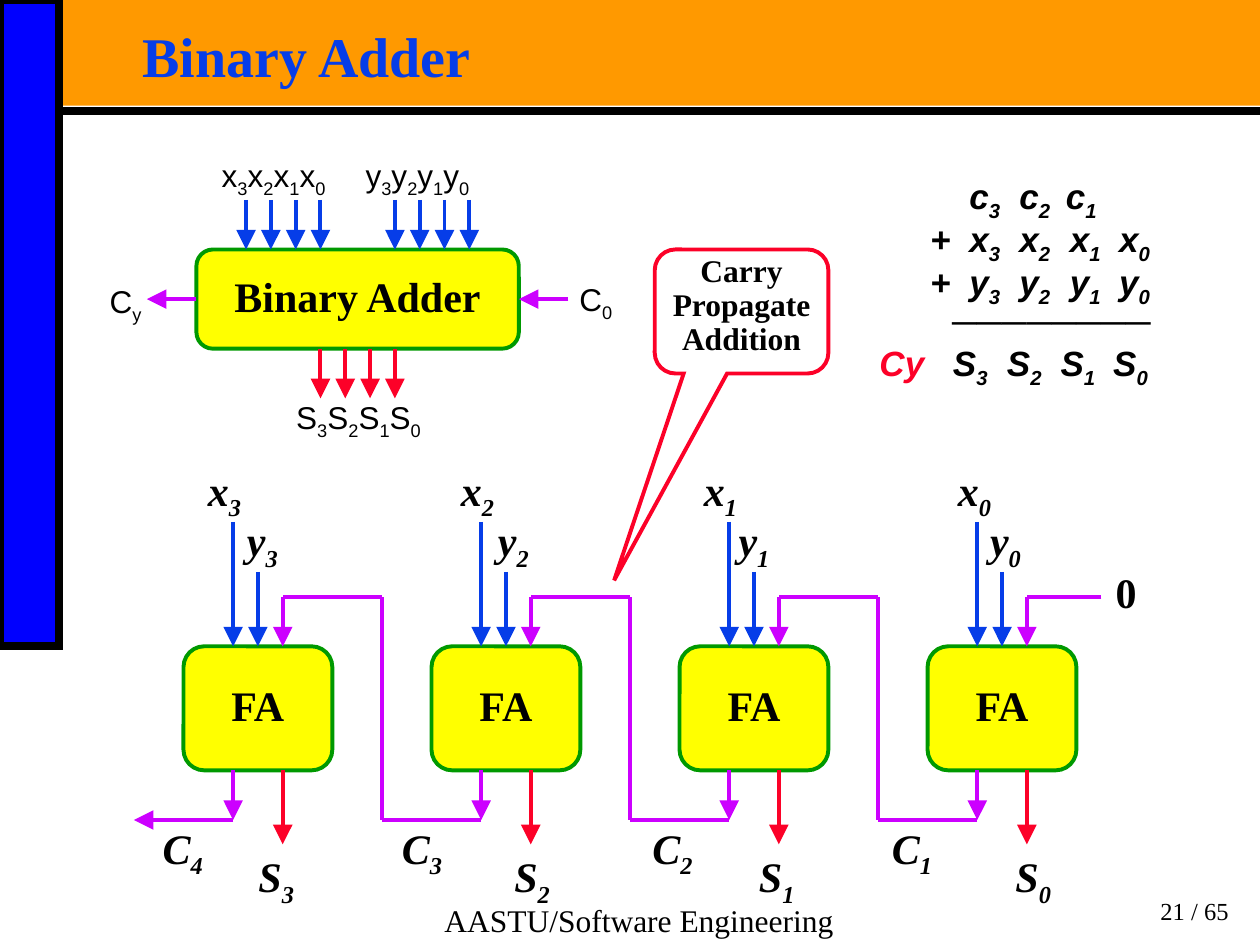
import pptx
import pptx.dml.color
import pptx.enum.shapes
import pptx.enum.text
import pptx.oxml.ns
import pptx.util
from lxml import etree

Cm = pptx.util.Cm
Pt = pptx.util.Pt
Shape = pptx.enum.shapes.MSO_SHAPE
Align = pptx.enum.text.PP_ALIGN
Anchor = pptx.enum.text.MSO_ANCHOR
qn = pptx.oxml.ns.qn

SERIF, SANS = "Times New Roman", "Arial"
BLACK, BLUE, RED, PURPLE = "000000", "063DE8", "FC0128", "CC00FF"
YELLOW, GREEN = "FFFF00", "009900"


def color(value):
    return pptx.dml.color.RGBColor.from_string(value)


def add_span(para, text, size, font, ink, bold, italic, subscript=False):
    span = para.add_run()
    span.text = text
    span.font.size, span.font.name = Pt(size), font
    span.font.bold, span.font.italic = bold, italic
    span.font.color.rgb = color(ink)
    if subscript:
        span.font._element.set("baseline", "-25000")


def write(para, text, size=24, font=SERIF, ink=BLACK, bold=False, italic=False,
          align=Align.LEFT, spacing=0.9, stops=(), lead="", lead_ink=RED):
    if stops:
        tabs = etree.SubElement(para._p.get_or_add_pPr(), qn("a:tabLst"))
        for stop in stops:
            etree.SubElement(tabs, qn("a:tab"), pos=str(Cm(stop)), algn="l")
    para.alignment, para.line_spacing, para.space_before = align, spacing, Pt(0)
    if lead:
        add_span(para, lead, size, font, lead_ink, bold, italic)
    first, *others = text.split("_")
    if first:
        add_span(para, first, size, font, ink, bold, italic)
    for piece in others:
        add_span(para, piece[0], size, font, ink, bold, italic, True)
        if piece[1:]:
            add_span(para, piece[1:], size, font, ink, bold, italic)


class Board:
    line_width = 2.25

    def __init__(self, slide):
        self.slide = slide
        self.shapes = slide.shapes

    def start_group(self):
        self.shapes = self.slide.shapes.add_group_shape().shapes

    def end_group(self):
        self.shapes = self.slide.shapes

    def frame(self, shape, anchor=Anchor.TOP, insets=(0, 0)):
        frame = shape.text_frame
        frame.word_wrap = True
        frame.auto_size = pptx.enum.text.MSO_AUTO_SIZE.NONE
        frame.vertical_anchor = anchor
        frame.margin_left = frame.margin_right = Cm(insets[0])
        frame.margin_top = frame.margin_bottom = Cm(insets[1])
        return frame

    def title(self, text, left, top, width, height):
        title = self.slide.shapes.title
        self.slide.shapes._spTree.append(title._element)
        title.left, title.top = Cm(left), Cm(top)
        title.width, title.height = Cm(width), Cm(height)
        frame = self.frame(title, insets=(0.18, 0.08))
        write(frame.paragraphs[0], text, size=32, ink=BLUE, bold=True, spacing=0.87)

    def text(self, text, left, top, width, height=0.91,
             anchor=Anchor.TOP, insets=(0, 0), **style):
        box = self.shapes.add_textbox(Cm(left), Cm(top), Cm(width), Cm(height))
        frame = self.frame(box, anchor, insets)
        write(frame.paragraphs[0], text, **style)
        return frame

    def shape(self, kind, left, top, width, height, fill=None, line=None, weight=line_width):
        shape = self.shapes.add_shape(kind, Cm(left), Cm(top), Cm(width), Cm(height))
        shape.shadow.inherit = False
        if fill:
            shape.fill.solid()
            shape.fill.fore_color.rgb = color(fill)
        else:
            shape.fill.background()
        if line:
            shape.line.color.rgb = color(line)
            shape.line.width = Pt(weight)
            etree.SubElement(shape.line._get_or_add_ln(), qn("a:miter"), lim="800000")
        else:
            shape.line.fill.background()
        return shape

    def block(self, text, left, top, width, height):
        block = self.shape(Shape.ROUNDED_RECTANGLE, left, top, width, height, YELLOW, GREEN)
        frame = self.frame(block, Anchor.MIDDLE)
        write(frame.paragraphs[0], text, bold=True, align=Align.CENTER)

    def callout(self, text, left, top, width, height, tip):
        callout = self.shape(Shape.ROUNDED_RECTANGULAR_CALLOUT,
                             left, top, width, height, line=RED)
        callout.adjustments[0], callout.adjustments[1] = tip
        write(self.frame(callout).paragraphs[0], text, size=18, bold=True, align=Align.CENTER)

    def line(self, x1, y1, x2, y2, ink, arrow=False, weight=line_width):
        line = self.shapes.add_connector(pptx.enum.shapes.MSO_CONNECTOR.STRAIGHT,
                                         Cm(x1), Cm(y1), Cm(x2), Cm(y2))
        line.line.color.rgb = color(ink)
        line.line.width = Pt(weight)
        if arrow:
            etree.SubElement(line.line._get_or_add_ln(), qn("a:tailEnd"),
                             type="triangle", w="lg", len="lg")
        etree.SubElement(line._element.spPr, qn("a:effectLst"))

    def full_adder(self, left, last):
        top, bottom, carry_in, carry_out = 13.03, 15.53, 12.03, 16.53
        self.block("FA", left, top, 3, bottom - top)
        self.line(left + 2, carry_in, left + 2, top, PURPLE, True)
        self.line(left + 1.5, 11.53, left + 1.5, top, BLUE, True)
        self.line(left + 1, 10.52, left + 1, top, BLUE, True)
        self.line(left + 2, bottom, left + 2, 17.02, RED, True)
        self.line(left + 1, bottom, left + 1, carry_out, PURPLE, True)
        self.line(left + 1, carry_out, left - 1, carry_out, PURPLE, last)
        if not last:
            self.line(left - 1, carry_out, left - 1, carry_in, PURPLE)
            self.line(left - 1, carry_in, left - 3, carry_in, PURPLE)

    def adder_symbol(self):
        left, top, width, height, stub = 3.96, 5.03, 6.5, 2, 1
        middle, bottom = top + height / 2, top + height
        self.start_group()
        self.block("Binary Adder", left, top, width, height)
        for start, y, ink in ((4.96, top - stub, BLUE), (7.96, top - stub, BLUE),
                              (6.46, bottom, RED)):
            for bit in range(4):
                x = start + 0.5 * bit
                self.line(x, y, x, y + stub, ink, True)
        for x in (left + width + stub, left):
            self.line(x, middle, x - stub, middle, PURPLE, True)
        for text, x, y, size, stops in (
                ("x_3x_2x_1x_0\ty_3y_2y_1y_0", 4.47, 3.15, 6, (2.9,)),
                ("S_3S_2S_1S_0", 5.97, 8.03, 3, ()),
                ("C_0", 11.68, 5.66, 1, ()), ("C_y", 2.21, 5.69, 1, ())):
            self.text(text, x, y, size, 0.7, size=18, font=SANS, stops=stops)
        self.end_group()

    def addition(self):
        style = dict(size=20, font=SANS, bold=True, italic=True)
        columns = (1.55, 2.34, 3.35, 4.37, 5.36)
        frame = self.text("\tc_3\tc_2\tc_1", 17.2, 3.53, 6, 3.81,
                          stops=(2.34, 3.35, 4.29), **style)
        for name in "xy":
            row = f"\t+\t{name}_3\t{name}_2\t{name}_1\t{name}_0"
            write(frame.add_paragraph(), row, stops=columns, **style)
        write(frame.add_paragraph(), "────────", align=Align.RIGHT, **style)
        write(frame.add_paragraph(), "\tS_3\tS_2\tS_1\tS_0", lead="\tCy",
              stops=(0.53, 2.01, 3.1, 4.18, 5.24), **style)


def main():
    deck = pptx.Presentation()
    deck.slide_width, deck.slide_height = Cm(25.4), Cm(19.05)
    board = Board(deck.slides.add_slide(deck.slide_layouts[5]))

    board.shape(Shape.RECTANGLE, 1.19, 0, 24.21, 2.13, "FF9900")
    board.shape(Shape.RECTANGLE, 0, 0, 1.19, 13.03, "0000FF", BLACK, 4.5)
    board.line(1.19, 2.24, 25.4, 2.24, BLACK, weight=4.5)
    board.title("Binary Adder", 2.69, 0.53, 22, 1.32)
    board.text("21 / 65", 21.69, 17.98, 3.33, 0.81, Anchor.BOTTOM, (0.25, 0.13),
               size=14, align=Align.RIGHT, spacing=1)
    board.addition()

    for bit in range(4):
        board.full_adder(18.7 - 5 * bit, last=bit == 3)
    board.line(22.2, 12.03, 20.7, 12.03, PURPLE)
    for text, left, top, stops in (
            ("x_3\tx_2\tx_1\tx_0", 4.19, 9.37, (5.1, 10, 15.12)),
            ("y_3\ty_2\ty_1\ty_0", 4.98, 10.39, (5.06, 9.91, 14.98)),
            ("S_3\tS_2\tS_1\tS_0", 5.21, 17.17, (5.16, 10.09, 15.26)),
            ("C_4\tC_3\tC_2\tC_1", 3.28, 16.59, (4.82, 9.87, 14.7))):
        board.text(text, left, top, 16.5, bold=True, italic=True, stops=stops)
    board.text("0", 22.2, 11.53, 1, bold=True, align=Align.CENTER)

    board.adder_symbol()
    board.callout("Carry Propagate Addition", 13.2, 5.03, 3.5, 2.5, (-0.734, 2.168))
    board.text("AASTU/Software Engineering", 8.71, 18.03, 9.2, 0.81,
               insets=(0.25, 0.13), size=18, spacing=1)
    deck.save("out.pptx")


if __name__ == "__main__":
    main()
